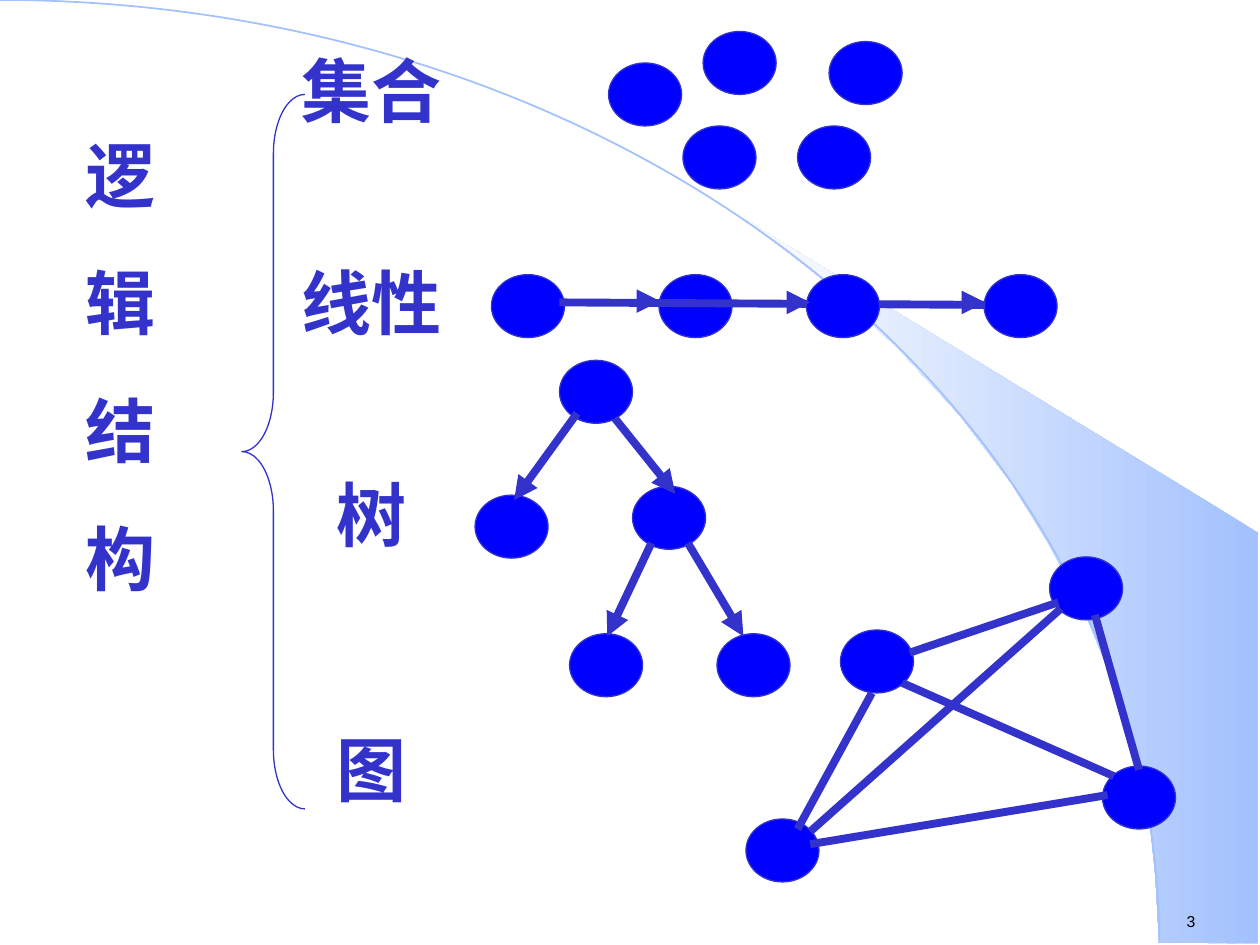
from pptx import Presentation
from pptx.dml.color import RGBColor
from pptx.enum.shapes import MSO_CONNECTOR as CONN, MSO_SHAPE as SHAPE
from pptx.enum.text import PP_ALIGN as ALIGN
from pptx.oxml.ns import qn
from pptx.util import Pt
from lxml import etree

PX = 9144  # 100 px to the inch
INK = RGBColor(0x33, 0x33, 0xCC)
NODE = RGBColor(0x00, 0x00, 0xFF)
SKY = RGBColor(0xA2, 0xC1, 0xFE)
PALE = RGBColor(0xFE, 0xFE, 0xFE)
BLACK = RGBColor(0x00, 0x00, 0x00)

prs = Presentation()
prs.slide_width, prs.slide_height = 1000 * PX, 750 * PX
s = prs.slides.add_slide(prs.slide_layouts[6])


def add_outline(kind, x, y, w, h, color, width, fill=None):
    sp = s.shapes.add_shape(kind, x * PX, y * PX, w * PX, h * PX)
    sp.shadow.inherit = False
    if fill is None:
        sp.fill.background()
    else:
        sp.fill.solid()
        sp.fill.fore_color.rgb = fill
    sp.line.color.rgb = color
    sp.line.width = Pt(width)
    return sp


def add_link(x1, y1, x2, y2, arrow=False):
    c = s.shapes.add_connector(CONN.STRAIGHT, x1 * PX, y1 * PX, x2 * PX, y2 * PX)
    c.line.color.rgb = INK
    c.line.width = Pt(4.5)
    if arrow:
        etree.SubElement(c.line._get_or_add_ln(), qn("a:tailEnd"), type="triangle")
    etree.SubElement(c._element.spPr, qn("a:effectLst"))


# Background: shaded wedge and large arc
wedge = [(920, 748), (999, 749), (999, 423), (589, 173), (624, 199), (653, 222),
         (685, 250), (716, 280), (762, 330), (803, 384), (832, 431), (858, 479),
         (878, 528), (893, 572), (903, 609), (913, 656), (917, 696)]
fb = s.shapes.build_freeform(*wedge[0], scale=PX)
fb.add_line_segments(wedge[1:], close=True)
sp = fb.convert_to_shape()
sp.shadow.inherit = False
sp.fill.gradient()
sp.fill.gradient_angle = 180
for stop, color in zip(sp.fill.gradient_stops, (SKY, PALE)):
    stop.color.rgb = color
sp.line.fill.background()
add_outline(SHAPE.ARC, -920, 0, 1840, 1497, SKY, 1)

# Brace between the heading and the four structures
brace = add_outline(SHAPE.LEFT_BRACE, 192, 75, 50, 567, INK, 0.75)
brace.adjustments[0] = 0.94

# Text: box, alignment, font, size, bold, colour, (line, space before)
texts = [
    ((932, 719, 77, 25), ALIGN.LEFT, "Arial", 9, False, BLACK, [("3", 0)]),
    ((58, 100, 75, 381), ALIGN.CENTER, "Times New Roman", 40, True, INK,
     [("逻", 0), ("辑", 25), ("结", 25), ("构", 25)]),
    ((192, 33, 205, 616), ALIGN.CENTER, "Times New Roman", 40, True, INK,
     [("集合", 0), ("线性", 73), ("树", 73), ("图", 98)]),
]
for box, align, font, size, bold, color, lines in texts:
    tf = s.shapes.add_textbox(*(v * PX for v in box)).text_frame
    tf.word_wrap = True
    for i, (line, before) in enumerate(lines):
        p = tf.paragraphs[0] if i == 0 else tf.add_paragraph()
        p.alignment = align
        if before:
            p.space_before = Pt(before)
        r = p.add_run()
        r.text = line
        r.font.name = font
        r.font.size = Pt(size)
        r.font.bold = bold
        r.font.color.rgb = color

# Each structure: nodes, then plain links, then nodes above them, then arrows
structures = [
    # Set
    ([(483, 50), (542, 100), (658, 33), (558, 25), (633, 100)], [], [], []),
    # Tree
    ([(502, 386), (377, 393), (444, 286), (569, 503), (452, 503)], [], [],
     [(458, 328, 408, 397), (488, 332, 536, 392),
      (517, 431, 482, 505), (546, 431, 590, 505)]),
    # Graph
    ([(667, 500), (875, 608), (592, 650), (833, 442)],
     [(692, 550, 633, 658), (869, 488, 904, 611), (840, 478, 722, 518),
      (879, 631, 643, 670), (842, 483, 643, 660), (716, 542, 884, 616)], [], []),
    # Linear list
    ([(781, 218), (390, 218), (523, 218)], [(444, 240, 782, 242)], [(640, 218)],
     [(507, 239, 524, 239), (626, 240, 643, 240), (766, 240, 782, 240)]),
]
for nodes, links, top_nodes, arrows in structures:
    for x, y in nodes:
        add_outline(SHAPE.OVAL, x, y, 58, 50, INK, 0.75, NODE)
    for link in links:
        add_link(*link)
    for x, y in top_nodes:
        add_outline(SHAPE.OVAL, x, y, 58, 50, INK, 0.75, NODE)
    for link in arrows:
        add_link(*link, arrow=True)

prs.save("out.pptx")
